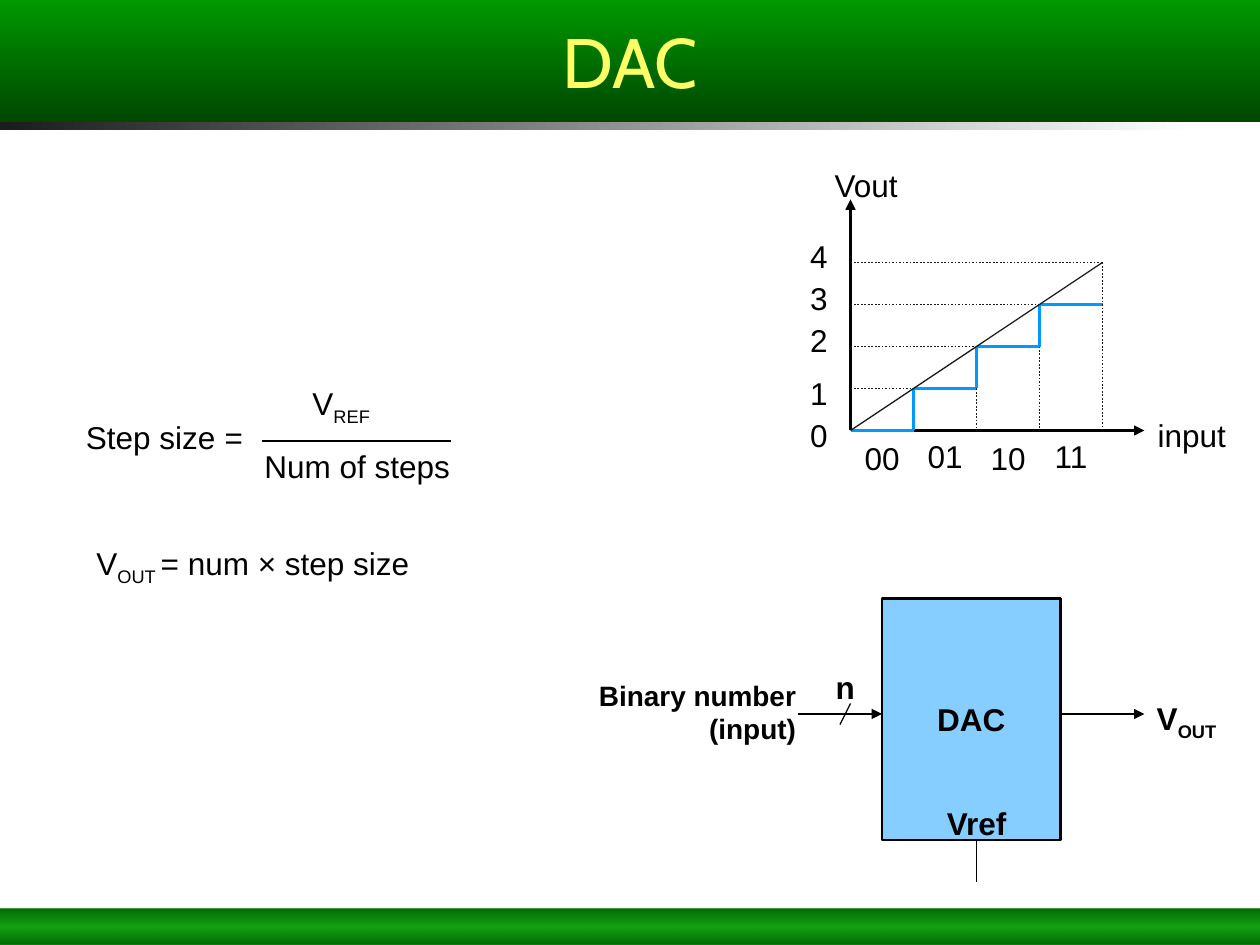
from dataclasses import dataclass

from lxml import etree
from pptx import Presentation
from pptx import util as u
from pptx.dml.color import RGBColor
from pptx.enum import dml, shapes, text
from pptx.oxml.ns import qn

COLUMNS, ROWS = 120, 90
CELL = u.Inches(10) / COLUMNS
BLACK, GREY, BLUE = "000000", "1C1C1C", "0099FF"
ORIGIN_COLUMN, ORIGIN_ROW = 81, 41
STEP_COLUMNS, STEP_ROWS, STEPS = 6, 4, 4
LEFT, CENTER, RIGHT = text.PP_ALIGN.LEFT, text.PP_ALIGN.CENTER, text.PP_ALIGN.RIGHT


@dataclass(frozen=True)
class Run:
    words: str
    subscript: bool = False
    italic: bool = False


@dataclass(frozen=True)
class Label:
    column: float
    row: float
    columns: float
    runs: tuple[Run, ...]
    align: text.PP_ALIGN = CENTER
    bold: bool = False
    size: int = 18
    rows: float = 4.85


@dataclass(frozen=True)
class Stroke:
    start: tuple[float, float]
    end: tuple[float, float]
    color: str = BLACK
    width: float = 0.75
    dotted: bool = False
    arrow: bool = False


@dataclass(frozen=True)
class Stop:
    position: int
    color: str
    opacity: int = 100


def cells(*lengths: float) -> list[int]:
    return [round(length * CELL) for length in lengths]


def rgb(color: str) -> RGBColor:
    return RGBColor.from_string(color)


def fill_gradient(shape, angle: int, stops: list[Stop]) -> None:
    shape.fill.gradient()
    shape.fill.gradient_angle = angle
    stop_list = next(shape.element.spPr.iter(qn("a:gsLst")))
    for old_stop in list(stop_list):
        stop_list.remove(old_stop)
    for stop in stops:
        node = etree.SubElement(stop_list, qn("a:gs"), pos=str(stop.position * 1000))
        color = etree.SubElement(node, qn("a:srgbClr"), val=stop.color)
        if stop.opacity < 100:
            etree.SubElement(color, qn("a:alpha"), val=str(stop.opacity * 1000))


def add_rectangle(slide, column: float, row: float, columns: float, rows: float):
    shape = slide.shapes.add_shape(
        shapes.MSO_SHAPE.RECTANGLE, *cells(column, row, columns, rows)
    )
    shape.shadow.inherit = False
    shape.line.fill.background()
    return shape


def add_runs(paragraph, runs: tuple[Run, ...], size: int, bold: bool = False,
             font: str = "Arial", color: str = BLACK) -> None:
    for part in runs:
        run = paragraph.add_run()
        run.text = part.words
        run.font.name = font
        run.font.size = u.Pt(size)
        run.font.bold = bold
        run.font.italic = part.italic
        run.font.color.rgb = rgb(color)
        if part.subscript:
            run.font._element.set("baseline", "-25000")


def add_label(slide, label: Label) -> None:
    box = slide.shapes.add_textbox(
        *cells(label.column, label.row, label.columns, label.rows)
    )
    frame = box.text_frame
    frame.word_wrap = True
    frame.auto_size = text.MSO_AUTO_SIZE.SHAPE_TO_FIT_TEXT
    paragraph = frame.paragraphs[0]
    paragraph.alignment = label.align
    add_runs(paragraph, label.runs, label.size, label.bold)


def add_stroke(slide, stroke: Stroke) -> None:
    connector = slide.shapes.add_connector(
        shapes.MSO_CONNECTOR.STRAIGHT, *cells(*stroke.start, *stroke.end)
    )
    connector.line.color.rgb = rgb(stroke.color)
    connector.line.width = u.Pt(stroke.width)
    if stroke.dotted:
        connector.line.dash_style = dml.MSO_LINE.ROUND_DOT
    if stroke.arrow:
        etree.SubElement(connector.line._get_or_add_ln(), qn("a:tailEnd"), type="triangle")
    etree.SubElement(connector.element.spPr, qn("a:effectLst"))


def add_frame(slide) -> None:
    footer = add_rectangle(slide, 0, 86.5, COLUMNS, 3.5)
    fill_gradient(footer, 270, [Stop(0, "006D00"), Stop(50, "009900", 92), Stop(100, "006D00")])
    rule = add_rectangle(slide, 0, 11.6, 114.1, 0.75)
    fill_gradient(rule, 0, [Stop(0, GREY), Stop(100, "FFFFFF")])
    title = slide.shapes.title
    title.left, title.top, title.width, title.height = cells(0, 0, COLUMNS, 11.6)
    fill_gradient(title, 270, [Stop(0, "009900"), Stop(100, "004700")])
    title.text_frame.vertical_anchor = text.MSO_ANCHOR.MIDDLE
    paragraph = title.text_frame.paragraphs[0]
    paragraph.alignment = CENTER
    add_runs(paragraph, (Run("DAC"),), 40, font="Cabin", color="FFFF66")


def plot_point(step: float, level: float) -> tuple[float, float]:
    return ORIGIN_COLUMN + step * STEP_COLUMNS, ORIGIN_ROW - level * STEP_ROWS


def add_staircase(slide) -> None:
    origin = plot_point(0, 0)
    strokes = [
        Stroke(origin, (ORIGIN_COLUMN, 19), width=1.5, arrow=True),
        Stroke(origin, (109, ORIGIN_ROW), width=1.5, arrow=True),
    ]
    for step in range(STEPS):
        strokes.append(Stroke(plot_point(step, step), plot_point(step + 1, step), BLUE, 2.25))
    for step in range(1, STEPS):
        strokes.append(Stroke(plot_point(step, step - 1), plot_point(step, step), BLUE, 2.25))
    for step in range(1, STEPS + 1):
        strokes.append(Stroke(plot_point(0, step), plot_point(step, step), GREY, 1, dotted=True))
    for step, level in ((2, 1), (3, 2), (4, 4)):
        strokes.append(Stroke(plot_point(step, level), plot_point(step, 0), GREY, 1, dotted=True))
    strokes.append(Stroke(origin, plot_point(STEPS, STEPS), GREY))
    for stroke in strokes:
        add_stroke(slide, stroke)

    for code in range(STEPS):
        row = ORIGIN_ROW + (0 if code % 2 else 0.2)
        add_label(slide, Label(79 + code * STEP_COLUMNS, row, 10, (Run(f"{code:02b}"),)))
    for level, row in enumerate((39, 35, 30, 26, 22)):
        add_label(slide, Label(75, row, 6, (Run(str(level)),)))
    add_label(slide, Label(109, 39, 9, (Run("input"),)))
    add_label(slide, Label(78, 15.2, 9, (Run("Vout"),)))


def add_converter(slide) -> None:
    box = add_rectangle(slide, 84, 57, 17, 23)
    box.fill.solid()
    box.fill.fore_color.rgb = rgb("85CEFF")
    box.line.color.rgb = rgb(BLACK)
    box.line.width = u.Pt(1.5)
    box.text_frame.word_wrap = False
    box.text_frame.vertical_anchor = text.MSO_ANCHOR.MIDDLE
    paragraph = box.text_frame.paragraphs[0]
    paragraph.alignment = CENTER
    add_runs(paragraph, (Run("DAC"),), 18, bold=True)

    for stroke in (
        Stroke((76, 68), (84, 68), arrow=True),
        Stroke((81, 67), (80, 69)),
        Stroke((101, 68), (109, 68), arrow=True),
        Stroke((93, 80), (93, 84)),
    ):
        add_stroke(slide, stroke)
    for label in (
        Label(88, 76, 10, (Run("Vref"),), bold=True),
        Label(108, 66, 10, (Run("V"), Run("OUT", subscript=True)), bold=True),
        Label(53, 64, 24, (Run("Binary number (input)"),), RIGHT, True, 16, 7.7),
        Label(75, 63, 11, (Run("n"),), bold=True),
    ):
        add_label(slide, label)


def add_formulas(slide) -> None:
    add_stroke(slide, Stroke((25, 42), (43, 42), width=1.5))
    for label in (
        Label(7, 39.2, 19, (Run("Step size"), Run(" =", italic=True)), LEFT),
        Label(26, 36, 13, (Run("V"), Run("REF", subscript=True))),
        Label(24, 42, 21, (Run("Num of steps"),), LEFT),
        Label(8, 51.2, 36,
              (Run("V"), Run("OUT ", subscript=True), Run("= num × step size")), LEFT),
    ):
        add_label(slide, label)


def main() -> None:
    presentation = Presentation()
    presentation.slide_width, presentation.slide_height = cells(COLUMNS, ROWS)
    slide = presentation.slides.add_slide(presentation.slide_layouts[5])
    add_frame(slide)
    add_staircase(slide)
    add_converter(slide)
    add_formulas(slide)
    presentation.save("out.pptx")


if __name__ == "__main__":
    main()
